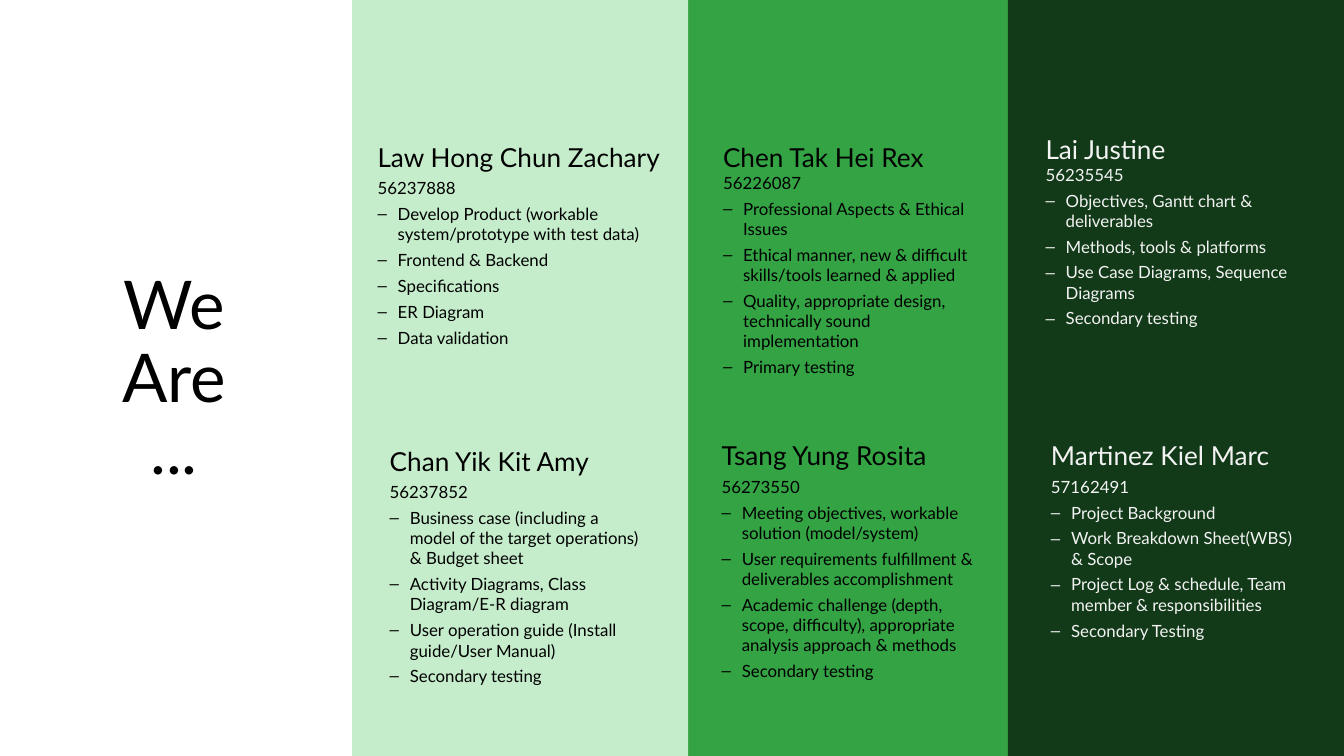
from lxml.etree import SubElement
from pptx import Presentation
from pptx.dml.color import RGBColor
from pptx.enum.shapes import MSO_SHAPE
from pptx.enum.text import MSO_ANCHOR, MSO_AUTO_SIZE, PP_ALIGN
from pptx.oxml.ns import qn
from pptx.util import Inches, Pt

FONT = "Lato"
BLACK, PALE = "000000", "F3F3F3"
SLIDE_WIDTH = 10
SLIDE_HEIGHT = SLIDE_WIDTH * 9 / 16

# Left edge and fill, from back to front
PANELS = [(5, "34A344"), (7.5, "123A18"), (2.62, "C5EDCB")]

# Box, text colour, format of the number, name, number, tasks
MEMBERS = [
    ((2.76, 1.03, 2.24, 2.11), BLACK, {"before": 3}, "Law Hong Chun Zachary", "56237888", [
        "Develop Product (workable system/prototype with test data)",
        "Frontend & Backend",
        "Specifications",
        "ER Diagram",
        "Data validation"]),
    ((2.85, 3.29, 2, 3.25), BLACK, {"before": 3}, "Chan Yik Kit Amy", "56237852", [
        "Business case (including a model of the target operations) & Budget sheet",
        "Activity Diagrams, Class Diagram/E-R diagram",
        "User operation guide (Install guide/User Manual)",
        "Secondary testing"]),
    ((5.33, 1.03, 2, 3.25), BLACK, {}, "Chen Tak Hei Rex", "56226087", [
        "Professional Aspects & Ethical Issues",
        "Ethical manner, new & difficult skills/tools learned & applied",
        "Quality, appropriate design, technically sound implementation",
        "Primary testing"]),
    ((5.32, 3.25, 2, 3.25), BLACK, {"before": 3}, "Tsang Yung Rosita", "56273550", [
        "Meeting objectives, workable solution (model/system)",
        "User requirements fulfillment & deliverables accomplishment",
        "Academic challenge (depth, scope, difficulty), appropriate analysis approach & methods",
        "Secondary testing"]),
    ((7.73, 0.97, 2, 3.25), PALE, {"same_para": True}, "Lai Justine", "56235545", [
        "Objectives, Gantt chart & deliverables",
        "Methods, tools & platforms",
        "Use Case Diagrams, Sequence Diagrams",
        "Secondary testing"]),
    ((7.77, 3.25, 2, 3.25), PALE, {"before": 3}, "Martinez Kiel Marc", "57162491", [
        "Project Background",
        "Work Breakdown Sheet(WBS) & Scope",
        "Project Log & schedule, Team member & responsibilities",
        "Secondary Testing"]),
]


def rgb(color):
    return RGBColor.from_string(color)


def set_frame(frame, side, end):
    frame.word_wrap = True
    frame.auto_size = MSO_AUTO_SIZE.NONE
    frame.vertical_anchor = MSO_ANCHOR.TOP
    frame.margin_left = frame.margin_right = Inches(side)
    frame.margin_top = frame.margin_bottom = Inches(end)


def add_dash(para, color):
    properties = para._p.get_or_add_pPr()
    properties.set("marL", str(Inches(0.15)))
    properties.set("indent", str(Inches(-0.16)))
    bullet_color = SubElement(properties, qn("a:buClr"))
    SubElement(bullet_color, qn("a:srgbClr"), val=color)
    SubElement(properties, qn("a:buFont"), typeface="Arial")
    SubElement(properties, qn("a:buChar"), char="–")


def break_line(para, size):
    line_break = SubElement(para._p, qn("a:br"))
    SubElement(line_break, qn("a:rPr"), sz=str(size * 100))


def add_text(frame, text, size=9, color=BLACK, align=PP_ALIGN.LEFT,
             before=0, spacing=1.0, dash=False, same_para=False):
    para = frame.paragraphs[-1]
    if same_para:
        break_line(para, size)
    else:
        if para.runs:
            para = frame.add_paragraph()
        if dash:
            add_dash(para, color)
        para.alignment = align
        para.line_spacing = spacing
        para.space_before = Pt(before)
    span = para.add_run()
    span.text = text
    span.font.name = FONT
    span.font.size = Pt(size)
    span.font.color.rgb = rgb(color)


def add_panel(slide, left, color):
    panel = slide.shapes.add_shape(MSO_SHAPE.RECTANGLE, Inches(left), 0,
                                   Inches(2.5), Inches(SLIDE_HEIGHT))
    panel.shadow.inherit = False
    panel.fill.solid()
    panel.fill.fore_color.rgb = rgb(color)
    panel.line.fill.background()


def add_title(slide, left, top, width, height):
    title = slide.shapes.title
    title.left, title.top = Inches(left), Inches(top)
    title.width, title.height = Inches(width), Inches(height)
    set_frame(title.text_frame, 0, 0)
    for word in ("We", "Are", "..."):
        add_text(title.text_frame, word, size=36, align=PP_ALIGN.CENTER, spacing=0.9)


def add_member(slide, place, color, number_format, name, number, tasks):
    box = slide.shapes.add_textbox(*(Inches(length) for length in place))
    frame = box.text_frame
    set_frame(frame, 0.05, 0.02)
    add_text(frame, name, size=14, color=color)
    add_text(frame, number, color=color, **number_format)
    for task in tasks:
        add_text(frame, task, color=color, before=3, dash=True)


def main():
    deck = Presentation()
    deck.slide_width, deck.slide_height = Inches(SLIDE_WIDTH), Inches(SLIDE_HEIGHT)
    slide = deck.slides.add_slide(deck.slide_layouts[5])

    # Coloured columns
    for left, color in PANELS:
        add_panel(slide, left, color)

    # Heading on the white column
    add_title(slide, -0.06, 2.02, 2.71, 2.81)

    # Team members
    for member in MEMBERS:
        add_member(slide, *member)

    deck.save("out.pptx")


if __name__ == "__main__":
    main()
